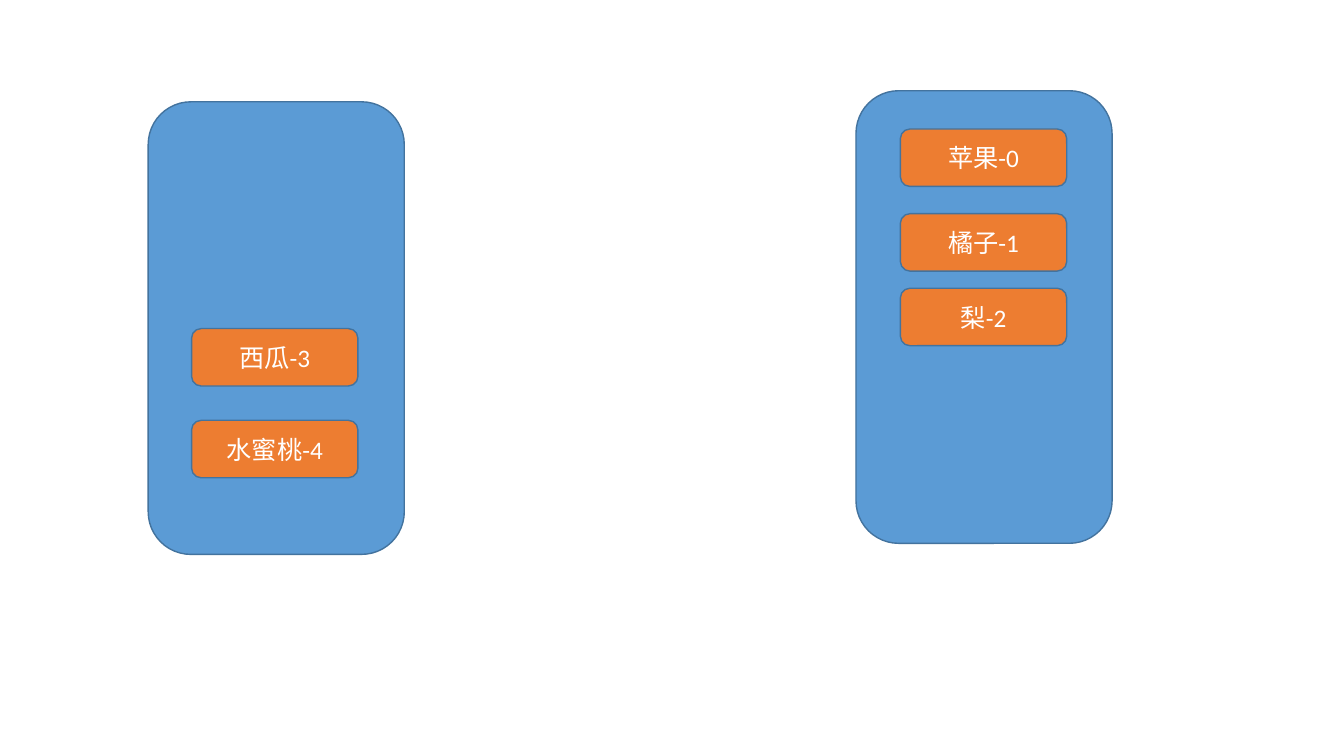
from pptx import Presentation
from pptx.dml.color import RGBColor
from pptx.enum.shapes import MSO_SHAPE as Shape
from pptx.enum.text import MSO_ANCHOR as Anchor, PP_ALIGN as Align
from pptx.util import Inches, Pt

BLUE = RGBColor(0x5B, 0x9B, 0xD5)
ORANGE = RGBColor(0xED, 0x7D, 0x31)
OUTLINE = RGBColor(0x43, 0x73, 0x9E)
WHITE = RGBColor(0xFF, 0xFF, 0xFF)

PANEL_SIZE = (2.54, 4.49)
FRUIT_SIZE = (1.65, 0.57)

# Each panel: left, top, left edge of its fruits, then (fruit, top)
PANELS = [
    (1.47, 1.01, 1.9, [("西瓜-3", 3.26), ("水蜜桃-4", 4.17)]),
    (8.49, 0.9, 8.93, [("苹果-0", 1.28), ("橘子-1", 2.12), ("梨-2", 2.86)]),
]


def add_rounded(page, left, top, size, fill):
    box = page.shapes.add_shape(
        Shape.ROUNDED_RECTANGLE, *map(Inches, (left, top, *size)))
    box.shadow.inherit = False
    box.fill.solid()
    box.fill.fore_color.rgb = fill
    box.line.color.rgb = OUTLINE
    box.line.width = Pt(1)
    return box


def write(box, text, size=18, color=WHITE, font="Calibri"):
    box.text_frame.vertical_anchor = Anchor.MIDDLE
    para = box.text_frame.paragraphs[0]
    para.alignment = Align.CENTER
    span = para.add_run()
    span.text = text
    span.font.size = Pt(size)
    span.font.name = font
    span.font.color.rgb = color


def main():
    deck = Presentation()
    deck.slide_width, deck.slide_height = Inches(13.33), Inches(7.5)
    page = deck.slides.add_slide(deck.slide_layouts[6])
    for left, top, fruit_left, fruits in PANELS:
        add_rounded(page, left, top, PANEL_SIZE, BLUE)
        for fruit, fruit_top in fruits:
            box = add_rounded(page, fruit_left, fruit_top, FRUIT_SIZE, ORANGE)
            write(box, fruit)
    deck.save("out.pptx")


if __name__ == "__main__":
    main()
